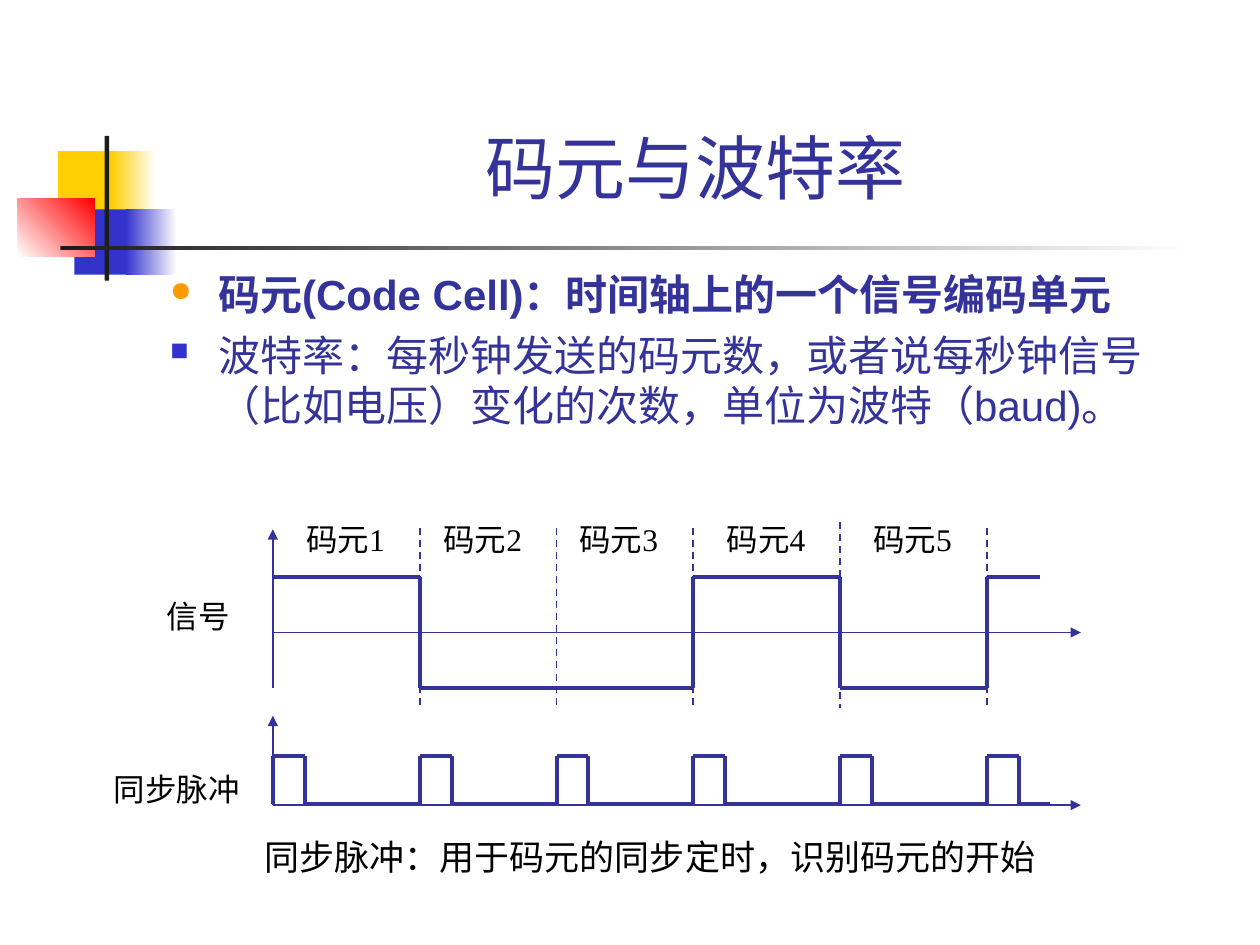
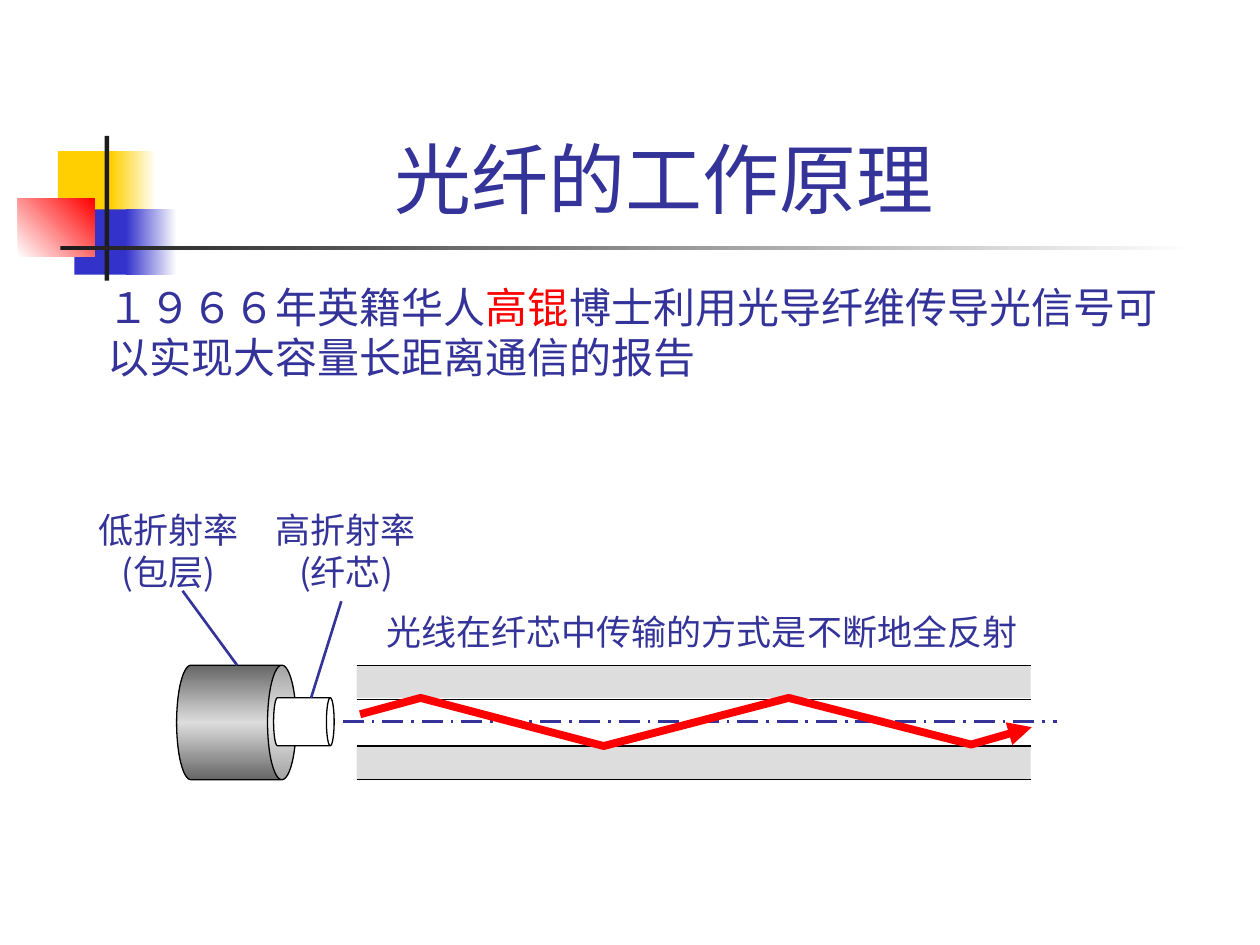
from lxml import etree
from pptx import Presentation
from pptx.dml.color import RGBColor
from pptx.enum.dml import MSO_LINE
from pptx.enum.shapes import MSO_CONNECTOR, MSO_SHAPE
from pptx.enum.text import MSO_ANCHOR, MSO_AUTO_SIZE, PP_ALIGN
from pptx.oxml.ns import qn
from pptx.util import Cm, Pt

RECT, CAN = MSO_SHAPE.RECTANGLE, MSO_SHAPE.CAN
STRAIGHT = MSO_CONNECTOR.STRAIGHT
DASH, LONG_DASH_DOT = MSO_LINE.DASH, MSO_LINE.LONG_DASH_DOT
TOP, MIDDLE, BOTTOM = MSO_ANCHOR.TOP, MSO_ANCHOR.MIDDLE, MSO_ANCHOR.BOTTOM
LEFT, CENTER, RIGHT = PP_ALIGN.LEFT, PP_ALIGN.CENTER, PP_ALIGN.RIGHT
NO_AUTOFIT = MSO_AUTO_SIZE.NONE

INDIGO, BLUE, YELLOW, RED = "333399", "3333CC", "FFCF01", "FF0000"
ORANGE, CHARCOAL, BLACK, WHITE = "FF9900", "1C1C1C", "000000", "FFFFFF"
DARK_GREY, LIGHT_GREY = "666666", "DDDDDD"
SANS, CJK, SERIF = "Arial", "Noto Sans CJK SC", "Times New Roman"


def rgb(value):
    return RGBColor.from_string(value)


def add_element(parent, tag, **attributes):
    return etree.SubElement(parent, qn(tag), attributes)


def add_text(paragraph, text, font=CJK, size=20, color=INDIGO, bold=False):
    run = paragraph.add_run()
    run.text = text
    run.font.name, run.font.size, run.font.bold = font, Pt(size), bold
    run.font.color.rgb = rgb(color)


def add_bullet(paragraph, char, color, percent):
    properties = paragraph._p.get_or_add_pPr()
    properties.set("marL", str(Cm(0.97)))
    properties.set("indent", str(-Cm(0.97)))
    add_element(add_element(properties, "a:buClr"), "a:srgbClr", val=color)
    add_element(properties, "a:buSzPct", val=str(percent * 1000))
    add_element(properties, "a:buChar", char=char)


class Deck:
    def __init__(self):
        self.presentation = Presentation()
        self.presentation.slide_width = Cm(25.4)
        self.presentation.slide_height = Cm(19.05)
        self.slide = None

    def new_slide(self, title_runs, box, size):
        self.slide = self.presentation.slides.add_slide(self.presentation.slide_layouts[5])
        self.ornament()
        title = self.slide.shapes.title
        title.left, title.top, title.width, title.height = map(Cm, box)
        frame = title.text_frame
        frame.auto_size, frame.vertical_anchor = NO_AUTOFIT, BOTTOM
        paragraph = frame.paragraphs[0]
        paragraph.alignment = CENTER
        for text, font in title_runs:
            add_text(paragraph, text, font=font, size=size)

    def ornament(self):
        self.shape(RECT, (1.17, 3.05, 1.22, 1.32), YELLOW)
        self.shape(RECT, (2.24, 3.05, 0.91, 1.32), [YELLOW, WHITE])
        self.shape(RECT, (1.5, 4.22, 1.17, 1.32), BLUE)
        self.shape(RECT, (2.54, 4.22, 1.02, 1.32), [BLUE, WHITE])
        self.shape(RECT, (0.36, 4.01, 1.55, 1.17), [WHITE, RED], angle=45)
        self.shape(RECT, (2.11, 2.74, 0.09, 2.92), CHARCOAL)
        self.shape(RECT, (1.22, 4.95, 22.86, 0.09), [CHARCOAL, WHITE])

    def shape(self, kind, box, fill, angle=0, outline=None):
        shape = self.slide.shapes.add_shape(kind, *map(Cm, box))
        shape.shadow.inherit = False
        if isinstance(fill, list):
            shape.fill.gradient()
            shape.fill.gradient_angle = angle
            stops = shape._element.spPr.find(".//" + qn("a:gsLst"))
            stops.clear()
            for i, color in enumerate(fill):
                stop = add_element(stops, "a:gs", pos=str(100000 * i // (len(fill) - 1)))
                add_element(stop, "a:srgbClr", val=color)
        else:
            shape.fill.solid()
            shape.fill.fore_color.rgb = rgb(fill)
        if outline:
            self.style_line(shape, outline, 0.75)
        else:
            shape.line.fill.background()
        return shape

    def cylinder(self, box, fill, depth):
        cylinder = self.shape(CAN, box, fill, outline=BLACK)
        cylinder.rotation = 90
        cylinder.adjustments[0] = depth

    def style_line(self, shape, color, width, dash=None, arrow=False):
        shape.line.color.rgb = rgb(color)
        shape.line.width = Pt(width)
        if dash:
            shape.line.dash_style = dash
        if arrow:
            add_element(shape.line._get_or_add_ln(), "a:tailEnd", type="triangle")

    def line(self, start, end, color=INDIGO, width=1, dash=None, arrow=False):
        connector = self.slide.shapes.add_connector(STRAIGHT, *map(Cm, (*start, *end)))
        self.style_line(connector, color, width, dash, arrow)
        add_element(connector._element.spPr, "a:effectLst")

    def waveform(self, points):
        for start, end in zip(points, points[1:]):
            self.line(start, end, width=2.25)

    def ray(self, points):
        start, *rest = [(Cm(x), Cm(y)) for x, y in points]
        builder = self.slide.shapes.build_freeform(*start)
        builder.add_line_segments(rest, close=False)
        ray = builder.convert_to_shape()
        ray.shadow.inherit = False
        ray.fill.background()
        self.style_line(ray, RED, 4.5, arrow=True)

    def frame(self, box, anchor=TOP, wrap=True):
        frame = self.slide.shapes.add_textbox(*map(Cm, box)).text_frame
        frame.word_wrap, frame.vertical_anchor = wrap, anchor
        return frame

    def label(self, box, *lines, align=LEFT, wrap=True, **style):
        frame = self.frame(box, wrap=wrap)
        for i, text in enumerate(lines):
            paragraph = frame.add_paragraph() if i else frame.paragraphs[0]
            paragraph.alignment = align
            add_text(paragraph, text, **style)


def build_baud_slide(deck):
    deck.new_slide([("码元与", SANS), ("波特率", CJK)], (9.35, 1.27, 9.35, 3.07), 40)

    definitions = deck.frame((3.18, 5.08, 20.12, 4.24))
    code_cell = definitions.paragraphs[0]
    add_bullet(code_cell, "●", ORANGE, 65)
    code_cell.line_spacing = 1.2
    add_text(code_cell, "码元(Code Cell)：时间轴上的一个信号编码单元", font=SANS, size=24, bold=True)
    baud = definitions.add_paragraph()
    add_bullet(baud, "■", BLUE, 60)
    baud.space_before = Pt(6)
    add_text(baud, "波特率：每秒钟发送的码元数，或者说每秒钟信号（比如电压）变化的次数，单位为波特（baud)。",
             font=SANS, size=24)

    edges = [5.5, 8.47, 11.22, 13.97, 16.93, 19.9]
    origin, axis_end = edges[0], 21.79
    deck.line((origin, 13.87), (origin, 10.67), arrow=True)
    deck.line((origin, 12.75), (axis_end, 12.75), arrow=True)
    for edge in edges[1:]:
        deck.line((edge, 10.52 if edge == edges[4] else 10.64), (edge, 14.27), dash=DASH)
    deck.line((origin, 16.23), (origin, 14.43), arrow=True)
    deck.line((origin, 16.23), (axis_end, 16.23), arrow=True)

    high, low = 11.63, 13.87
    signal = [(origin, high)]
    for edge, before, after in [(edges[1], high, low), (edges[3], low, high),
                                (edges[4], high, low), (edges[5], low, high)]:
        signal += [(edge, before), (edge, after)]
    deck.waveform(signal + [(20.96, high)])

    pulse_high, pulse_low, pulse_width = 15.24, 16.21, 0.64
    pulses = []
    for edge in edges:
        fall = edge + pulse_width
        pulses += [(edge, pulse_low), (edge, pulse_high), (fall, pulse_high), (fall, pulse_low)]
    deck.waveform(pulses + [(21.17, pulse_low)])

    black_serif = dict(font=SERIF, color=BLACK)
    for number, left in enumerate([5.92, 8.69, 11.43, 14.4, 17.35], 1):
        deck.label((left, 10.36, 2.34, 1.02), f"码元{number}", size=18, **black_serif)
    deck.label((2.54, 11.91, 2.34, 1.02), "信号", align=RIGHT, size=18, **black_serif)
    deck.label((1.47, 15.39, 3.61, 1.02), "同步脉冲", align=RIGHT, size=18, **black_serif)
    deck.label((5.08, 16.71, 16.51, 1.12), "同步脉冲：用于码元的同步定时，识别码元的开始", **black_serif)


def build_fibre_slide(deck):
    deck.new_slide([("光纤的工作原理", SANS)], (2.18, 0.58, 22.43, 4.06), 44)

    left, width = 7.19, 13.59
    for top, height, color in [(13.41, 0.69, LIGHT_GREY), (14.07, 0.97, WHITE), (15.04, 0.69, LIGHT_GREY)]:
        deck.shape(RECT, (left, top, width, height), color)
    deck.cylinder((3.61, 13.36, 2.31, 2.41), [DARK_GREY, LIGHT_GREY, DARK_GREY], 0.25)
    deck.cylinder((5.64, 13.94, 0.97, 1.22), WHITE, 0.16)
    for boundary in (13.41, 14.1, 15.04, 15.72):
        deck.line((left, boundary), (left + width, boundary), color=BLACK, width=0.75)
    deck.line((6.91, 14.55), (21.31, 14.55), width=1.5, dash=LONG_DASH_DOT)

    deck.label((5.31, 10.13, 3.33, 1.96), "高折射率", "(纤芯)", align=CENTER, wrap=False)
    deck.label((1.73, 10.13, 3.33, 1.96), "低折射率", "(包层)", align=CENTER, wrap=False)
    deck.line((6.88, 12.12), (6.27, 14.07), width=1.5)
    deck.line((3.68, 11.91), (4.78, 13.41), width=1.5)
    deck.label((7.54, 12.19, 13.23, 1.12), "光线在纤芯中传输的方式是不断地全反射", wrap=False)
    deck.ray([(7.26, 14.4), (8.48, 14.07), (12.17, 15.04), (15.9, 14.07), (19.58, 15.01), (20.8, 14.66)])

    history = deck.frame((1.91, 5.54, 22, 2.29), anchor=MIDDLE).paragraphs[0]
    for text, color in [("１９６６年英籍华人", INDIGO), ("高锟", RED),
                        ("博士利用光导纤维传导光信号可以实现大容量长距离通信的报告", INDIGO)]:
        add_text(history, text, size=24, color=color)


def main():
    deck = Deck()
    build_baud_slide(deck)
    build_fibre_slide(deck)
    deck.presentation.save("out.pptx")


if __name__ == "__main__":
    main()
